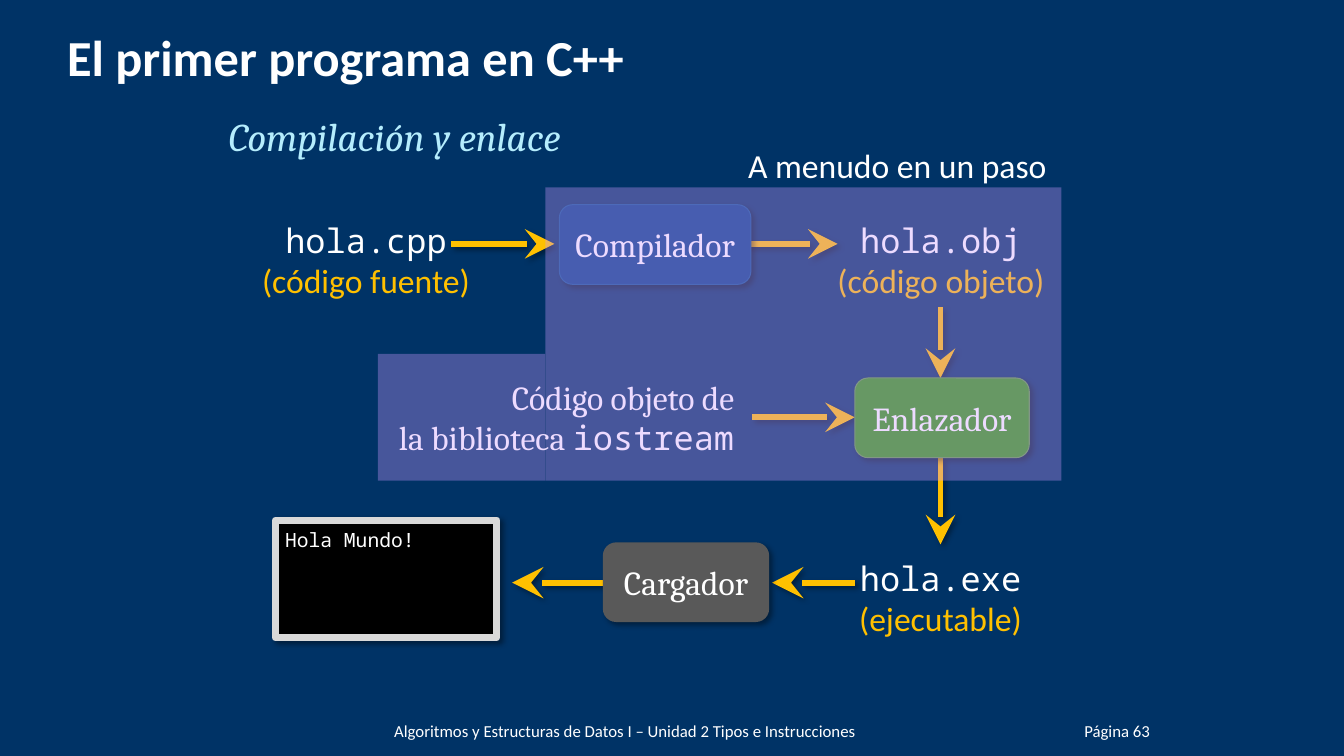
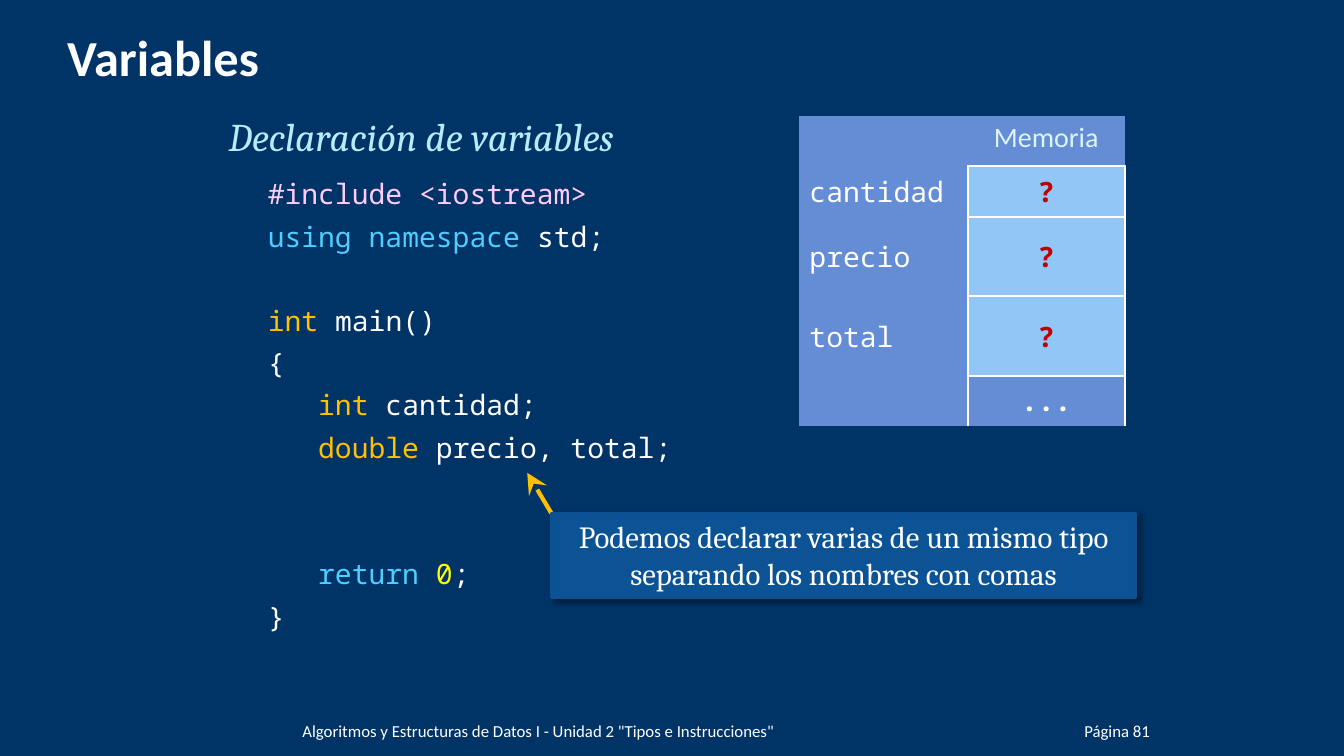
"""Two lecture slides on C++: compiling and linking, and declaring variables."""
from pptx import Presentation
from pptx.dml.color import RGBColor
from pptx.enum.shapes import MSO_CONNECTOR as LINK, MSO_SHAPE as SHAPE
from pptx.enum.text import MSO_ANCHOR as ANCHOR, PP_ALIGN as ALIGN
from pptx.oxml import parse_xml
from pptx.oxml.ns import nsdecls, qn
from pptx.util import Pt

NAVY = RGBColor(0x00, 0x33, 0x66)
WHITE = RGBColor(0xFF, 0xFF, 0xFF)
PALE_CYAN = RGBColor(0xB5, 0xED, 0xFD)
GOLD = RGBColor(0xFF, 0xC0, 0x00)
COMPILER = RGBColor(0x00, 0x3D, 0x87)
COMPILER_EDGE = RGBColor(0x09, 0x52, 0x95)
LINKER = RGBColor(0x31, 0x98, 0x11)
LINKER_EDGE = RGBColor(0x5B, 0x97, 0x47)
LOADER = RGBColor(0x59, 0x59, 0x59)
BLACK = RGBColor(0x00, 0x00, 0x00)
SILVER = RGBColor(0xD9, 0xD9, 0xD9)
LILAC = RGBColor(0xCC, 0x99, 0xFF)
PINK = RGBColor(0xFF, 0xCC, 0xFF)
SKY = RGBColor(0x4F, 0xCE, 0xFF)
YELLOW = RGBColor(0xFF, 0xFF, 0x00)
TABLE_BLUE = RGBColor(0x64, 0x8D, 0xD5)
CELL_BLUE = RGBColor(0x91, 0xC6, 0xF7)
CELL_HEAD = RGBColor(0xDB, 0xF5, 0xF9)
RED = RGBColor(0xC0, 0x00, 0x00)
CALLOUT = RGBColor(0x0B, 0x53, 0x94)
CALLOUT_EDGE = RGBColor(0x0B, 0x52, 0x92)
SANS, SERIF, MONO = "Calibri", "Cambria", "Noto Sans Mono"
SHADOW = (f'<a:outerShdw {nsdecls("a")} blurRad="50800" dist="38100" dir="2700000" algn="tl" '
          'rotWithShape="0"><a:srgbClr val="000000"><a:alpha val="40000"/></a:srgbClr></a:outerShdw>')


def write(frame, runs, font=SANS, size=24, color=WHITE, bold=False, italic=False, align=ALIGN.LEFT,
          anchor=ANCHOR.TOP, wrap=True, insets=None, before=0, after=0, indent=0, spacing=None):
    """Add one paragraph of (text, colour, font) runs to a text frame."""
    para = frame.add_paragraph() if frame.text else frame.paragraphs[0]
    frame.word_wrap, frame.vertical_anchor = wrap, anchor
    if insets:
        (frame.margin_left, frame.margin_top,
         frame.margin_right, frame.margin_bottom) = map(Pt, insets)
    para.alignment = align
    para.space_before, para.space_after = Pt(before), Pt(after)
    if spacing:
        para.line_spacing = Pt(spacing)
    if indent:
        para._p.get_or_add_pPr().set("marL", str(Pt(indent)))
    if isinstance(runs, str):
        runs = [(runs,)]
    for text, *style in runs:
        for index, piece in enumerate(text.split("\n")):
            if index:
                para.add_line_break()
            if piece:
                span = para.add_run()
                span.text = piece
                span.font.size, span.font.bold, span.font.italic = Pt(size), bold, italic
                span.font.color.rgb = style[0] if style else color
                span.font.name = style[1] if len(style) > 1 else font


def place(page, kind, area, fill=None, edge=None, weight=0.75):
    """Add a text box (kind None) or a filled shape without shadow."""
    area = [Pt(length) for length in area]
    if kind is None:
        return page.shapes.add_textbox(*area)
    shape = page.shapes.add_shape(kind, *area)
    shape.shadow.inherit = False
    shape.fill.solid()
    shape.fill.fore_color.rgb = fill
    if edge is None:
        shape.line.fill.background()
    else:
        shape.line.color.rgb = edge
        shape.line.width = Pt(weight)
    return shape


deck = Presentation()
deck.slide_width, deck.slide_height = Pt(960), Pt(540)
pages, bodies = [], []
for title, subtitle, footer, footer_left, number in (
    ("El primer programa en C++", "Compilación y enlace",
     "Algoritmos y Estructuras de Datos I – Unidad 2 Tipos e Instrucciones", 281.5, 63),
    ("Variables", "Declaración de variables",
     'Algoritmos y Estructuras de Datos I - Unidad 2 "Tipos e Instrucciones"', 216, 81),
):
    page = deck.slides.add_slide(deck.slide_layouts[6])
    page.background.fill.solid()
    page.background.fill.fore_color.rgb = NAVY
    write(place(page, None, (48, 22.3, 864, 39.6)).text_frame, title, size=36, bold=True,
          anchor=ANCHOR.BOTTOM, insets=(0, 3.6, 0, 0))
    body = place(page, None, (156.2, 77, 648, 402.5)).text_frame
    write(body, subtitle, font=SERIF, size=28, color=PALE_CYAN, italic=True, after=12)
    for text, left, width, align in ((footer, footer_left, 400, ALIGN.LEFT),
                                     (f"Página {number}", 727, 94.5, ALIGN.RIGHT)):
        write(place(page, None, (left, 500.4, width, 28.8)).text_frame, text, size=12,
              align=align, anchor=ANCHOR.BOTTOM, insets=(0, 0, 0, 0))
    pages.append(page)
    bodies.append(body)
build, variables = pages

arrows, shadowed = [], []
for page, weight, start, end in (
    (build, 4.25, (322.5, 174.2), (396, 174.2)),
    (build, 4.25, (525.6, 174.2), (598.3, 174.2)),
    (build, 4.25, (537.1, 298.1), (610.6, 298.1)),
    (build, 4.25, (671.8, 326.9), (671.8, 388.8)),
    (build, 4.25, (671.8, 219.6), (671.8, 270)),
    (build, 4.5, (610.6, 416.2), (551.5, 416.2)),
    (build, 4.5, (433.4, 416.2), (365.8, 416.2)),
    (variables, 3, (393.8, 366.5), (376.6, 337.7)),
):
    arrow = page.shapes.add_connector(LINK.STRAIGHT, *map(Pt, start + end))
    arrow.line.color.rgb = GOLD
    arrow.line.width = Pt(weight)
    arrow._element.spPr.find(qn("a:ln")).append(
        parse_xml(f'<a:tailEnd {nsdecls("a")} type="stealth" w="lg" len="lg"/>'))
    arrow._element.spPr.append(parse_xml(f'<a:effectLst {nsdecls("a")}/>'))
    if page is build:
        shadowed.append(arrow)

for name, role, left, top, width in (
    ("hola.cpp", "código fuente", 179.3, 153.4, 164.2),
    ("hola.obj", "código objeto", 590.4, 153.4, 163.4),
    ("hola.exe", "ejecutable", 581.8, 394.6, 180),
):
    write(place(build, None, (left, top, width, 65.5)).text_frame,
          [(f"{name}\n", WHITE, MONO), (f"({role})", GOLD, SANS)], align=ALIGN.CENTER, wrap=False)
write(place(build, None, (259.2, 265.7, 272.2, 65.5)).text_frame,
      [("Código objeto de\nla biblioteca ",), ("iostream", WHITE, MONO)],
      font=SERIF, align=ALIGN.RIGHT)

for name, left, top, width, fill, edge in (
    ("Compilador", 399.6, 146.2, 136.8, COMPILER, COMPILER_EDGE),
    ("Enlazador", 610.6, 270, 124.6, LINKER, LINKER_EDGE),
    ("Cargador", 430.6, 387.4, 118.8, LOADER, None),
):
    tool = place(build, SHAPE.ROUNDED_RECTANGLE, (left, top, width, 56.9), fill, edge)
    write(tool.text_frame, name, font=SERIF, align=ALIGN.CENTER, anchor=ANCHOR.MIDDLE, wrap=False)
    shadowed.append(tool)

console = place(build, SHAPE.RECTANGLE, (196.6, 371.5, 158.4, 84.2), BLACK, SILVER, 5)
write(console.text_frame, "Hola Mundo!", font=MONO, size=14, insets=(7.2, 5.8, 7.2, 5.8))
shadowed.append(console)

for area in ((389.5, 133.9, 368.6, 209.5), (270, 252.7, 119.5, 90.7)):
    veil = place(build, SHAPE.RECTANGLE, area, LILAC)
    veil._element.spPr.find(qn("a:solidFill"))[0].append(
        parse_xml(f'<a:alpha {nsdecls("a")} val="35000"/>'))
write(place(build, None, (524.9, 100.1, 229.7, 36)).text_frame, "A menudo en un paso",
      align=ALIGN.RIGHT, wrap=False, after=6)

LINE_PITCH, CODE_INDENT, BLOCK_INDENT = 30.15, 28, 64
for blank_lines, indent, runs in (
    (0, CODE_INDENT, [("#include <iostream>", PINK)]),
    (0, CODE_INDENT, [("using namespace ", SKY), ("std;",)]),
    (1, CODE_INDENT, [("int", GOLD), (" main()",)]),
    (0, CODE_INDENT, [("{",)]),
    (0, BLOCK_INDENT, [("int", GOLD), (" cantidad;",)]),
    (0, BLOCK_INDENT, [("double", GOLD), (" precio, total;",)]),
    (2, BLOCK_INDENT, [("return ", SKY), ("0", YELLOW), (";",)]),
    (0, CODE_INDENT, [("}",)]),
):
    write(bodies[1], runs, font=MONO, size=20, before=blank_lines * LINE_PITCH, after=6,
          indent=indent, spacing=LINE_PITCH - 6)

row_heights = (36, 36, 56.9, 56.9, 36)
memory = variables.shapes.add_table(5, 2, Pt(571), Pt(82.8), Pt(232.5), Pt(sum(row_heights))).table
memory.first_row = memory.horz_banding = False
memory._tbl.tblPr.find(qn("a:tableStyleId")).text = "{2D5ABB26-0587-4C30-8999-92F81FD0307C}"
for column, width in zip(memory.columns, (120.2, 112.3)):
    column.width = Pt(width)
for row, (height, name, value) in enumerate(zip(
        row_heights, ("", "cantidad", "precio", "total", ""), ("Memoria", "?", "?", "?", "..."))):
    memory.rows[row].height = Pt(height)
    label, content = memory.cell(row, 0), memory.cell(row, 1)
    for cell, fill in ((label, TABLE_BLUE), (content, CELL_BLUE if name else TABLE_BLUE)):
        cell.fill.solid()
        cell.fill.fore_color.rgb = fill
        cell.vertical_anchor = ANCHOR.MIDDLE if name else ANCHOR.TOP
    anchor = label.vertical_anchor
    if name:
        write(label.text_frame, name, font=MONO, size=20, anchor=anchor)
    write(content.text_frame, value, font=MONO if row else SANS, size=20, bold=row > 0,
          color=RED if name else WHITE if row else CELL_HEAD, align=ALIGN.CENTER, anchor=anchor)
    sides = "B" if row == 0 else "LRT" if row == 4 else "LRTB"
    for position, side in enumerate(sides):
        content._tc.get_or_add_tcPr().insert(position, parse_xml(
            f'<a:ln{side} {nsdecls("a")} w="{Pt(1.5)}"><a:solidFill>'
            f'<a:srgbClr val="{WHITE}"/></a:solidFill></a:ln{side}>'))

callout = place(variables, SHAPE.RECTANGLE, (393.8, 366.5, 417.6, 60.5), CALLOUT, CALLOUT_EDGE, 2)
write(callout.text_frame, "Podemos declarar varias de un mismo tipo\nseparando los nombres con comas",
      font=SERIF, size=22, align=ALIGN.CENTER, wrap=False, after=6)
shadowed.append(callout)

for shape in shadowed:
    shape._element.spPr.find(qn("a:effectLst")).append(parse_xml(SHADOW))

deck.save("out.pptx")
